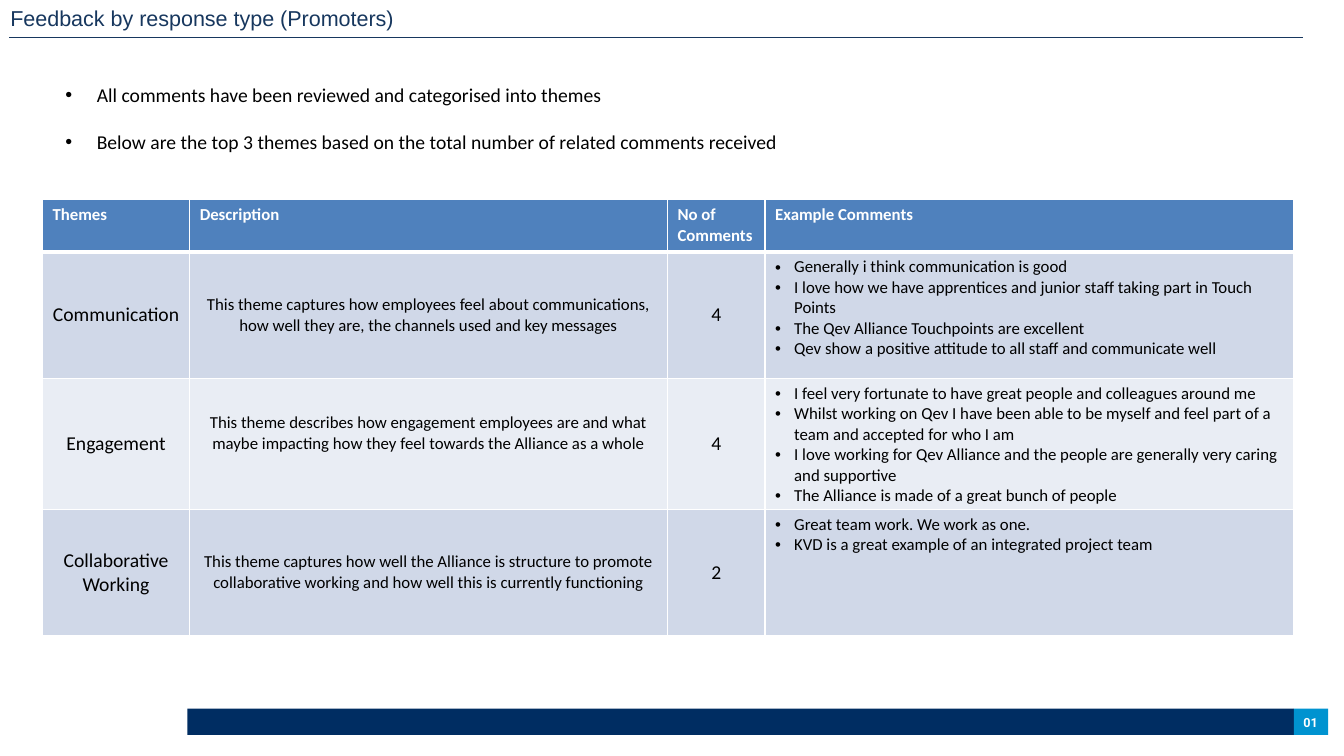
import pptx
import pptx.util
import pptx.dml.color
import pptx.enum.shapes
import pptx.enum.text
import pptx.oxml
import pptx.oxml.ns

Cm, Pt = pptx.util.Cm, pptx.util.Pt
ALIGN = pptx.enum.text.PP_ALIGN
ANCHOR = pptx.enum.text.MSO_ANCHOR
NAVY, BLUE, BLACK, WHITE = "002D62", "17375E", "000000", "FFFFFF"


def style_frame(frame, font, size, color, bold=False, insets=None):
    """Format every run of a text frame."""
    frame.word_wrap = True
    if insets:
        frame.margin_left, frame.margin_top, frame.margin_right, frame.margin_bottom = map(Cm, insets)
    for para in frame.paragraphs:
        for span in para.runs:
            span.font.name, span.font.size, span.font.bold = font, Pt(size), bold
            span.font.color.rgb = pptx.dml.color.RGBColor.from_string(color)


def add_bullets(frame, indent):
    """Give every paragraph a bullet with a hanging indent."""
    for para in frame.paragraphs:
        props = para._p.get_or_add_pPr()
        props.set("marL", str(Cm(indent)))
        props.set("indent", str(-Cm(indent)))
        namespace = pptx.oxml.ns.nsdecls("a")
        props.append(pptx.oxml.parse_xml(f'<a:buFont {namespace} typeface="Arial"/>'))
        props.append(pptx.oxml.parse_xml(f'<a:buChar {namespace} char="•"/>'))


deck = pptx.Presentation()
deck.slide_width, deck.slide_height = Cm(33.87), Cm(19.05)
page = deck.slides.add_slide(deck.slide_layouts[5])

# Footer bar and page number
for left, width, fill in ((4.72, 27.89, NAVY), (32.61, 0.86, "0093D0")):
    bar = page.shapes.add_shape(pptx.enum.shapes.MSO_SHAPE.RECTANGLE,
                                Cm(left), Cm(17.86), Cm(width), Cm(0.66))
    bar.shadow.inherit = False
    bar.fill.solid()
    bar.fill.fore_color.rgb = pptx.dml.color.RGBColor.from_string(fill)
    bar.line.fill.background()

number = page.shapes.add_textbox(Cm(32.82), Cm(17.98), Cm(0.45), Cm(0.41))
number.text_frame.text = "01"
style_frame(number.text_frame, "Roboto", 9, WHITE, True, (0.03, 0.03, 0, 0))
number.text_frame.word_wrap = False

# Title and rule
title = page.shapes.title
title.left, title.top, title.width, title.height = Cm(0.23), Cm(0.1), Cm(20), Cm(0.7)
title.text_frame.text = "Feedback by response type (Promoters)"
title.text_frame.vertical_anchor = ANCHOR.TOP
title.text_frame.auto_size = pptx.enum.text.MSO_AUTO_SIZE.NONE
title.text_frame.paragraphs[0].alignment = ALIGN.LEFT
style_frame(title.text_frame, "Arial", 15.4, BLUE, insets=(0.03, 0.03, 0, 0))

rule = page.shapes.add_connector(pptx.enum.shapes.MSO_CONNECTOR.STRAIGHT,
                                 Cm(0.23), Cm(0.94), Cm(32.84), Cm(0.94))
rule.line.color.rgb = pptx.dml.color.RGBColor.from_string(BLUE)
rule.line.width = Pt(0.75)
rule._element.spPr.append(pptx.oxml.parse_xml(f'<a:effectLst {pptx.oxml.ns.nsdecls("a")}/>'))

# Introduction
intro = page.shapes.add_textbox(Cm(1.4), Cm(1.96), Cm(32.36), Cm(2.06))
intro.text_frame.text = (
    "All comments have been reviewed and categorised into themes\n"
    "Below are the top 3 themes based on the total number of related comments received")
intro.text_frame.paragraphs[1].space_before = Pt(17)
style_frame(intro.text_frame, "Calibri", 14, BLACK)
add_bullets(intro.text_frame, 0.79)

# Themes table
rows = [
    ("Themes", "Description", "No of Comments", "Example Comments"),
    ("Communication",
     "This theme captures how employees feel about communications, how well they are, "
     "the channels used and key messages",
     "4",
     "Generally i think communication is good\n"
     "I love how we have apprentices and junior staff taking part in Touch Points\n"
     "The Qev Alliance Touchpoints are excellent\n"
     "Qev show a positive attitude to all staff and communicate well"),
    ("Engagement",
     "This theme describes how engagement employees are and what maybe impacting "
     "how they feel towards the Alliance as a whole",
     "4",
     "I feel very fortunate to have great people and colleagues around me\n"
     "Whilst working on Qev I have been able to be myself and feel part of a team "
     "and accepted for who I am\n"
     "I love working for Qev Alliance and the people are generally very caring and supportive\n"
     "The Alliance is made of a great bunch of people"),
    ("Collaborative Working",
     "This theme captures how well the Alliance is structure to promote collaborative working "
     "and how well this is currently functioning",
     "2",
     "Great team work. We work as one.\n"
     "KVD is a great example of an integrated project team"),
]
row_fills = ("4F81BD", "D0D8E8", "E9EDF4", "D0D8E8")
row_heights = (1.32, 3.18, 3.18, 3.18)
column_widths = (3.71, 12.04, 2.46, 13.31)

table = page.shapes.add_table(len(rows), len(column_widths), Cm(1.07), Cm(5.03),
                              Cm(sum(column_widths)), Cm(sum(row_heights))).table
table.horz_banding = False
for column, width in zip(table.columns, column_widths):
    column.width = Cm(width)

for r, texts in enumerate(rows):
    table.rows[r].height = Cm(row_heights[r])
    for c, text in enumerate(texts):
        cell = table.cell(r, c)
        frame = cell.text_frame
        frame.text = text
        if r == 0:
            style_frame(frame, "Calibri", 12, WHITE, True)
        else:
            style_frame(frame, "Calibri", 14 if c in (0, 2) else 12, BLACK)
            if c == 3:
                add_bullets(frame, 0.48)
            else:
                frame.paragraphs[0].alignment = ALIGN.CENTER
                cell.vertical_anchor = ANCHOR.MIDDLE
        cell.fill.solid()
        cell.fill.fore_color.rgb = pptx.dml.color.RGBColor.from_string(row_fills[r])

        # White borders, thicker under the header
        edges = {"lnL": 1, "lnR": 1, "lnT": 3 if r == 1 else 1, "lnB": 3 if r == 0 else 1}
        for position, (edge, points) in enumerate(edges.items()):
            cell._tc.get_or_add_tcPr().insert(position, pptx.oxml.parse_xml(
                f'<a:{edge} {pptx.oxml.ns.nsdecls("a")} w="{Pt(points)}"><a:solidFill>'
                f'<a:srgbClr val="{WHITE}"/></a:solidFill></a:{edge}>'))

# The engagement description sits slightly above the middle
table.cell(2, 1).margin_bottom = Cm(0.65)

deck.save("out.pptx")
